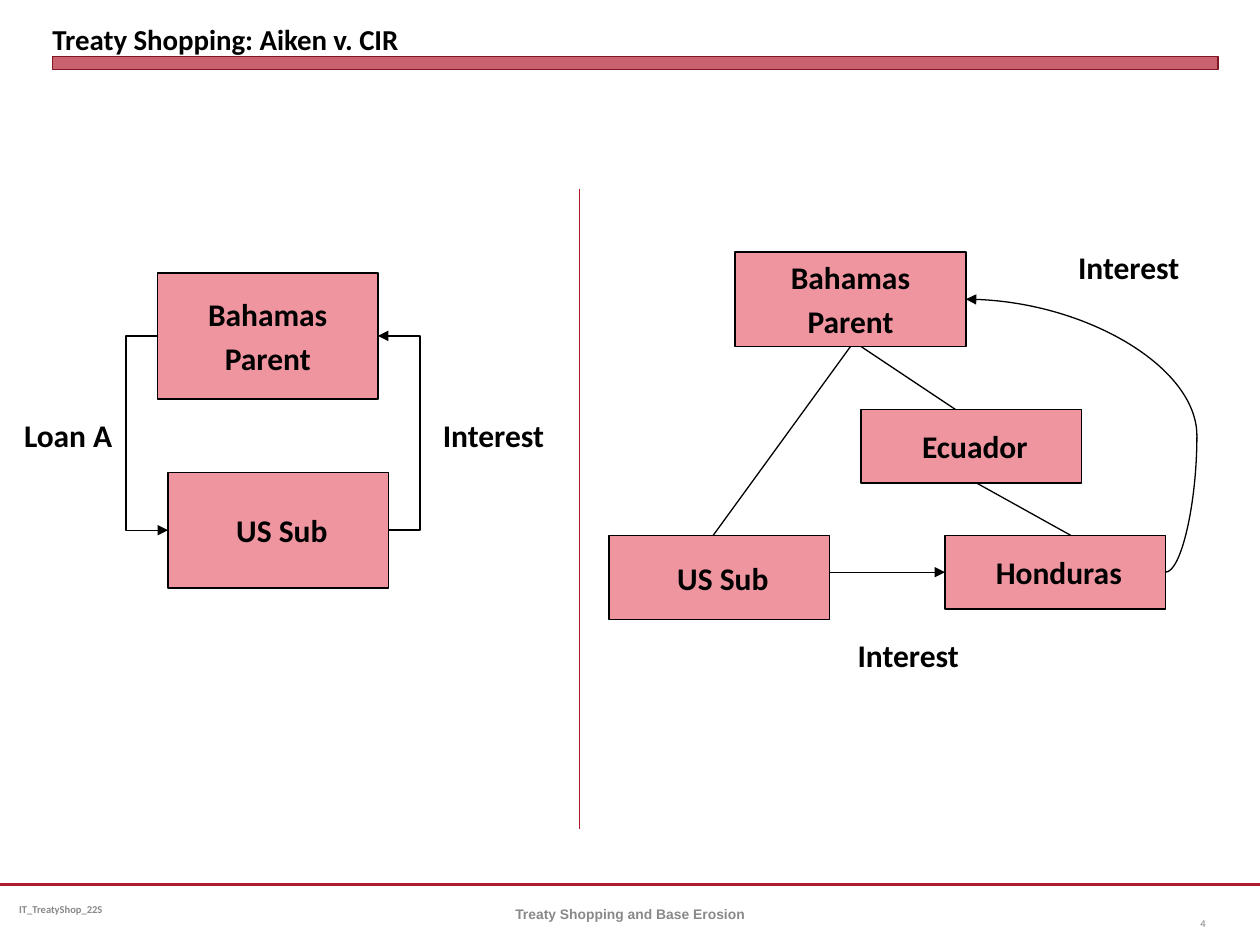
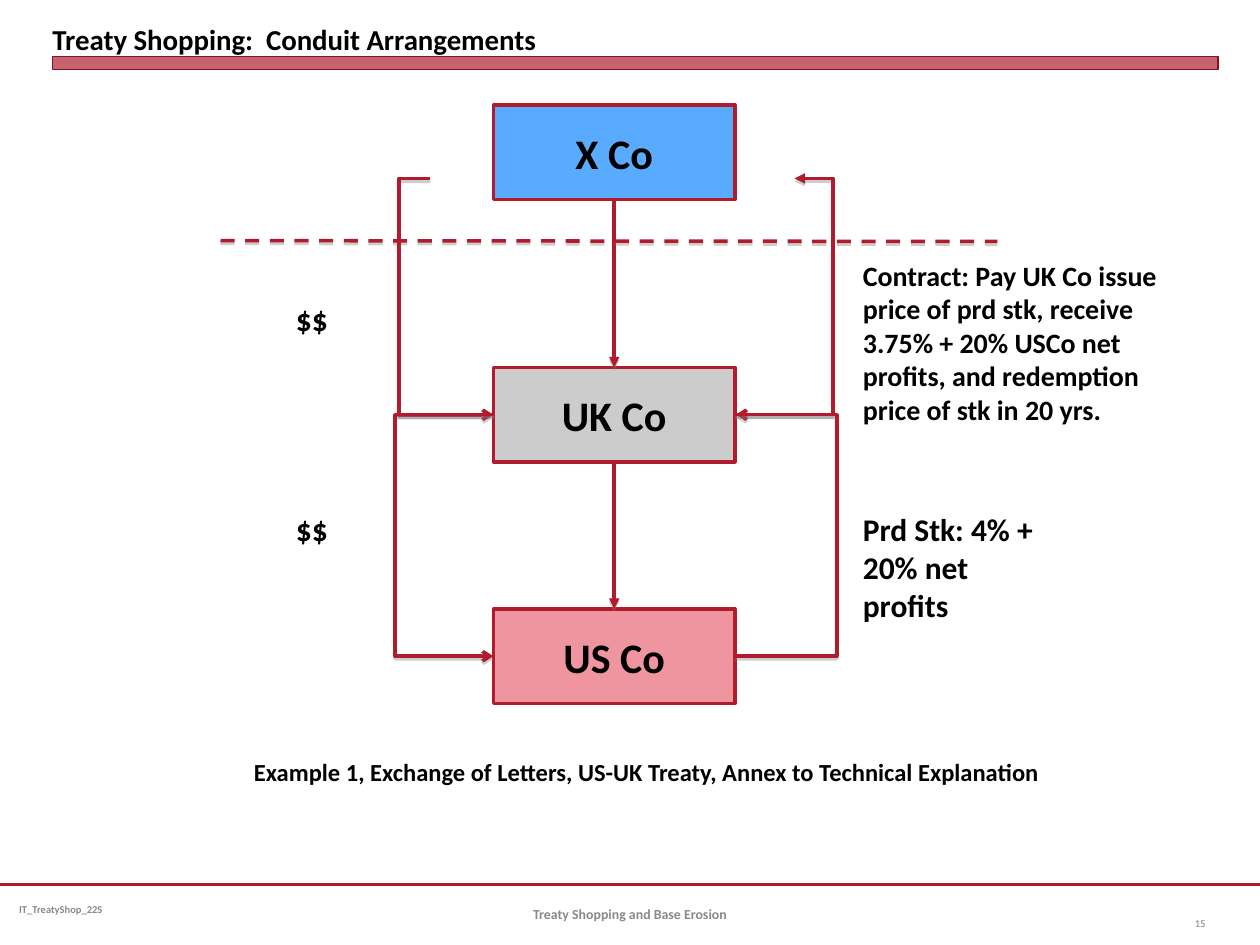
from dataclasses import dataclass
from typing import Optional

from lxml import etree
from pptx import Presentation
from pptx.dml.color import RGBColor
from pptx.enum.dml import MSO_LINE
from pptx.enum.shapes import MSO_CONNECTOR, MSO_SHAPE
from pptx.enum.text import MSO_ANCHOR, PP_ALIGN
from pptx.oxml.ns import qn
from pptx.util import Pt


@dataclass(frozen=True)
class Theme:
    font: str = "Calibri"
    black: str = "000000"
    crimson: str = "B01C2E"
    divider: str = "B0182A"
    bar_edge: str = "821522"
    pink: str = "EE95A0"
    gray: str = "CCCCCC"
    blue: str = "59ABFF"
    footer: str = "898989"
    number: str = "808080"
    shadow: str = "808080"
    title_size: float = 16.5
    label_size: float = 18
    contract_size: float = 16
    source_size: float = 14
    company_size: float = 24
    footer_size: float = 7.9
    small_size: float = 6
    thin: float = 0.75
    rule: float = 1.25
    thick: float = 2


T = Theme()
LEFT, CENTER, RIGHT = PP_ALIGN.LEFT, PP_ALIGN.CENTER, PP_ALIGN.RIGHT
TOP, MIDDLE, BOTTOM = MSO_ANCHOR.TOP, MSO_ANCHOR.MIDDLE, MSO_ANCHOR.BOTTOM


@dataclass(frozen=True)
class Style:
    size: float = T.label_size
    bold: bool = True
    color: str = T.black
    font: str = T.font
    align: PP_ALIGN = LEFT
    anchor: MSO_ANCHOR = TOP
    margins: tuple = (7.2, 3.6)
    wrap: bool = True


@dataclass(frozen=True)
class Label:
    text: str
    at: tuple
    style: Style = Style()


@dataclass(frozen=True)
class Box:
    text: str
    at: tuple
    fill: str = T.pink
    line: str = T.black
    width: float = T.thin
    style: Style = Style(align=CENTER, anchor=MIDDLE, wrap=False)
    indent: float = 0


@dataclass(frozen=True)
class Link:
    """A line; via is the x of its middle segment, joins are (box name, side)."""
    start: tuple
    end: tuple
    color: str = T.black
    width: float = T.thin
    head: Optional[str] = None
    via: Optional[float] = None
    curved: bool = False
    dashed: bool = False
    shadow: bool = False
    start_join: Optional[tuple] = None
    end_join: Optional[tuple] = None


def rgb(value: str) -> RGBColor:
    return RGBColor.from_string(value)


def points(values: tuple) -> list:
    return [Pt(v) for v in values]


def write(tf, text: str, style: Style) -> None:
    tf.word_wrap = style.wrap
    tf.vertical_anchor = style.anchor
    tf.margin_left = tf.margin_right = Pt(style.margins[0])
    tf.margin_top = tf.margin_bottom = Pt(style.margins[1])
    for i, line in enumerate(text.split("\n")):
        p = tf.paragraphs[0] if i == 0 else tf.add_paragraph()
        p.alignment = style.align
        if i:
            p.space_before = Pt(style.size * 0.2)
        r = p.add_run()
        r.text = line
        r.font.size = Pt(style.size)
        r.font.bold = style.bold
        r.font.name = style.font
        r.font.color.rgb = rgb(style.color)


def draw_label(s, label: Label) -> None:
    sp = s.shapes.add_textbox(*points(label.at))
    write(sp.text_frame, label.text, label.style)


def draw_box(s, box: Box):
    sp = s.shapes.add_shape(MSO_SHAPE.RECTANGLE, *points(box.at))
    sp.shadow.inherit = False
    sp.fill.solid()
    sp.fill.fore_color.rgb = rgb(box.fill)
    sp.line.color.rgb = rgb(box.line)
    sp.line.width = Pt(box.width)
    if box.text:
        write(sp.text_frame, box.text, box.style)
        sp.text_frame.margin_left = Pt(box.style.margins[0] + box.indent)
    return sp


def set_effects(cxn, shadow: bool) -> None:
    effects = etree.SubElement(cxn._element.spPr, qn("a:effectLst"))
    if shadow:
        outer = etree.SubElement(effects, qn("a:outerShdw"), blurRad="0",
                                 dist=str(Pt(1.6)), dir="5400000", rotWithShape="0")
        color = etree.SubElement(outer, qn("a:srgbClr"), val=T.shadow)
        etree.SubElement(color, qn("a:alpha"), val="38000")


def bend(cxn, link: Link) -> None:
    """Put the middle segment of a bent or curved connector at link.via."""
    x1, x2 = link.start[0], link.end[0]
    geometry = cxn._element.spPr.find(qn("a:prstGeom"))
    guides = geometry.find(qn("a:avLst"))
    if guides is None:
        guides = etree.SubElement(geometry, qn("a:avLst"))
    ratio = round((link.via - x1) / (x2 - x1) * 100000)
    etree.SubElement(guides, qn("a:gd"), name="adj1", fmla=f"val {ratio}")


def draw_link(s, link: Link, boxes: dict) -> None:
    kind = MSO_CONNECTOR.STRAIGHT
    if link.via is not None:
        kind = MSO_CONNECTOR.CURVE if link.curved else MSO_CONNECTOR.ELBOW
    cxn = s.shapes.add_connector(kind, *points(link.start + link.end))
    if link.via is not None:
        bend(cxn, link)
    if link.start_join:
        name, side = link.start_join
        cxn.begin_connect(boxes[name], side)
    if link.end_join:
        name, side = link.end_join
        cxn.end_connect(boxes[name], side)
    cxn.line.color.rgb = rgb(link.color)
    cxn.line.width = Pt(link.width)
    if link.dashed:
        cxn.line.dash_style = MSO_LINE.DASH
    if link.head:
        etree.SubElement(cxn.line._get_or_add_ln(), qn("a:tailEnd"), type=link.head)
    set_effects(cxn, link.shadow)


def draw_frame(s, title: str, number: int, footer_font: str) -> None:
    """Draw the title, its bar and the footer shared by the slides."""
    draw_link(s, Link((0, 505.5), (720, 505.5), T.crimson, T.rule), {})
    bar = draw_box(s, Box("", (30, 32.4, 666, 7.2), T.crimson, T.bar_edge, 0))
    color = bar.fill._xPr.find(qn("a:solidFill"))[0]
    etree.SubElement(color, qn("a:alpha"), val="69000")
    labels = [
        Label("IT_TreatyShop_22S", (6, 505.5, 186, 28.8),
              Style(T.small_size, color=T.footer, anchor=MIDDLE, margins=(5, 2.9))),
        Label(title, (30, 3.6, 666, 28.8),
              Style(T.title_size, anchor=BOTTOM, margins=(0, 0))),
        Label(str(number), (660, 513.5, 36, 28.8),
              Style(T.small_size, False, T.number, align=RIGHT, anchor=MIDDLE)),
        Label("Treaty Shopping and Base Erosion", (246, 507.6, 228, 28.8),
              Style(T.footer_size, color=T.footer, font=footer_font,
                    align=CENTER, anchor=MIDDLE)),
    ]
    for label in labels:
        draw_label(s, label)


def draw_diagram(s, boxes: dict, links: list, labels: list) -> None:
    shapes = {name: draw_box(s, box) for name, box in boxes.items()}
    for link in links:
        draw_link(s, link, shapes)
    for label in labels:
        draw_label(s, label)


def build_aiken(s) -> None:
    draw_frame(s, "Treaty Shopping: Aiken v. CIR", 4, "Arial")
    boxes = {
        "lender": Box("Bahamas\nParent", (90, 156, 126, 72)),
        "borrower": Box("US Sub", (96, 270, 126, 66), indent=4),
        "parent": Box("Bahamas\nParent", (420, 144, 132, 54)),
        "us_sub": Box("US Sub", (348, 306, 126, 48), indent=4),
        "honduras": Box("Honduras", (540, 306, 126, 42), indent=4),
        "ecuador": Box("Ecuador", (492, 234, 126, 42), indent=4),
    }
    links = [
        Link((90, 192), (96, 303), head="triangle", via=72),
        Link((222, 303), (216, 192), head="triangle", via=240),
        Link((486, 198), (407.5, 306), start_join=("parent", 2)),
        Link((492, 198), (546, 234)),
        Link((558, 276), (612, 306)),
        Link((474, 327), (540, 327), head="triangle", end_join=("honduras", 1)),
        Link((666, 327), (552, 171), head="triangle", via=684, curved=True),
        Link((331, 108), (331, 474), T.divider),
    ]
    centered = Style(align=CENTER)
    places = [("Loan A", -12, 234), ("Interest", 231, 234),
              ("Interest", 594, 138), ("Interest", 468, 360)]
    labels = [Label(text, (x, y, 102, 29), centered) for text, x, y in places]
    draw_diagram(s, boxes, links, labels)


def build_conduit(s) -> None:
    draw_frame(s, "Treaty Shopping:  Conduit Arrangements", 15, T.font)
    company = Style(T.company_size, align=CENTER, anchor=MIDDLE)
    companies = [("X Co", 60, T.blue), ("UK Co", 210, T.gray), ("US Co", 348, T.pink)]
    boxes = {name: Box(name, (282, y, 138, 54), fill, T.crimson, T.thick, company)
             for name, y, fill in companies}

    def flow(start: tuple, end: tuple, **options) -> Link:
        return Link(start, end, T.crimson, T.thick, shadow=True, **options)

    links = [
        flow((351, 114), (351, 210), head="triangle",
             start_join=("X Co", 2), end_join=("UK Co", 0)),
        flow((351, 264), (351, 348), head="triangle",
             start_join=("UK Co", 2), end_join=("US Co", 0)),
        flow((126, 137.5), (570, 138), dashed=True),
        flow((246, 102), (282, 237), head="arrow", via=228),
        flow((282.5, 237), (282, 375), head="arrow", via=227),
        flow((420, 375), (420.5, 237), head="arrow", via=477),
        flow((420, 237), (454, 102), head="triangle", via=476),
    ]
    labels = [Label("$$", (162, y, 66, 30)) for y in (168, 288)]
    labels += [
        Label("Contract: Pay UK Co issue price of prd stk, receive 3.75% + 20% USCo "
              "net profits, and redemption price of stk in 20 yrs.",
              (486, 144, 192, 104), Style(T.contract_size)),
        Label("Prd Stk: 4% + 20% net profits", (486, 288, 114, 73)),
        Label("Example 1, Exchange of Letters, US-UK Treaty, Annex to Technical "
              "Explanation", (138, 429, 480, 24.5), Style(T.source_size)),
    ]
    draw_diagram(s, boxes, links, labels)


def main() -> None:
    prs = Presentation()
    prs.slide_width, prs.slide_height = Pt(720), Pt(540)
    for build in (build_aiken, build_conduit):
        build(prs.slides.add_slide(prs.slide_layouts[6]))
    prs.save("out.pptx")


if __name__ == "__main__":
    main()
